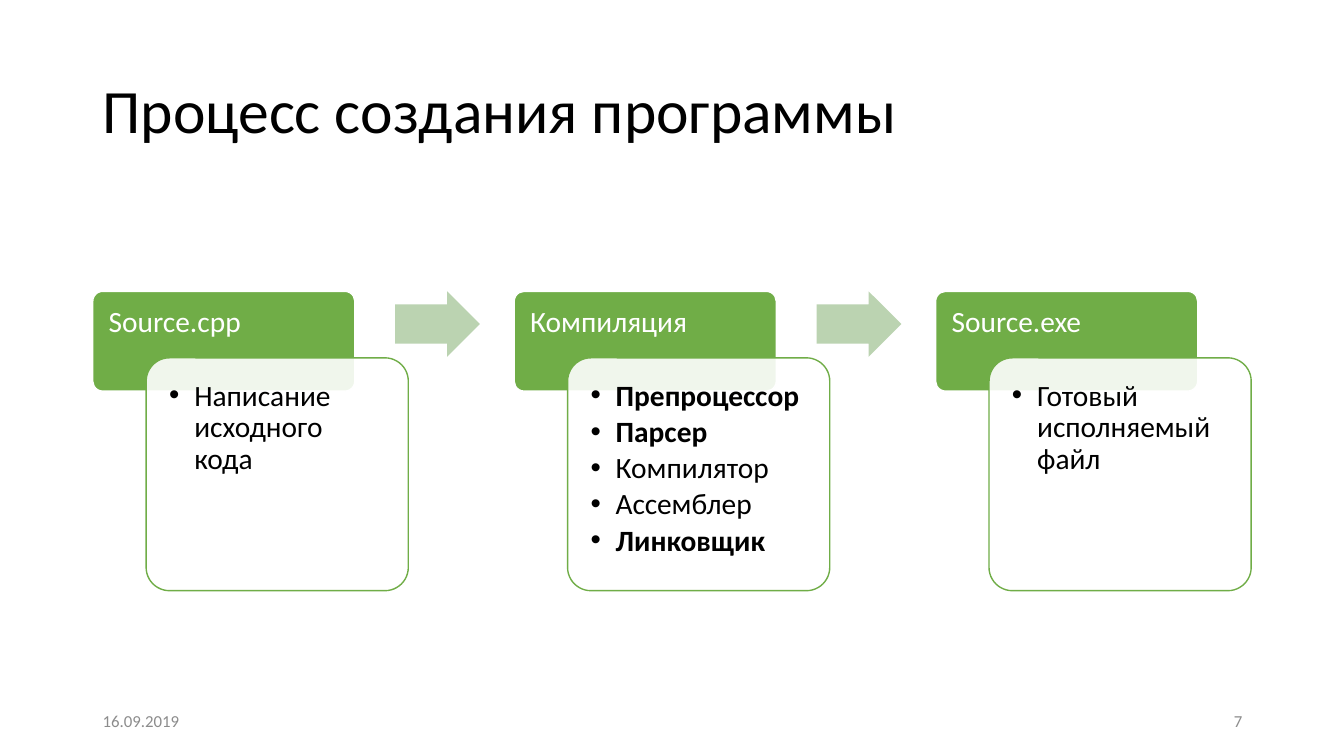
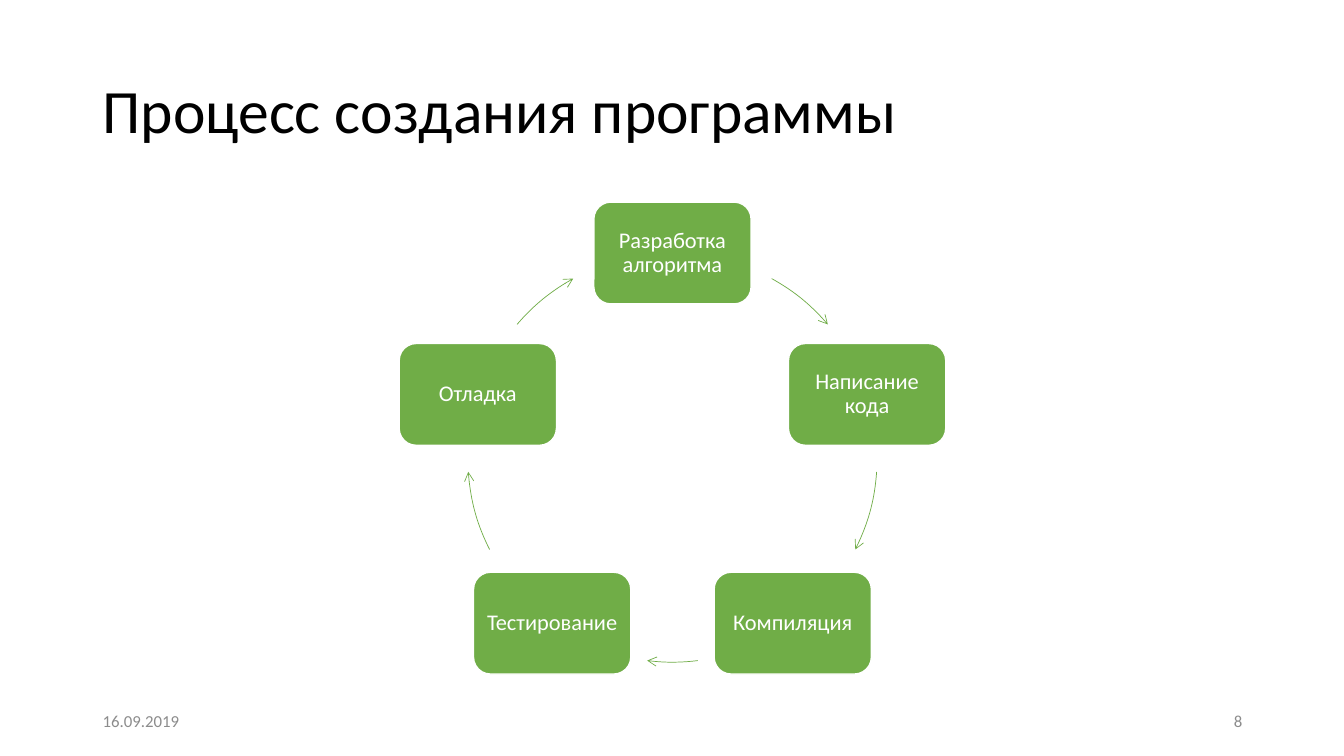
import math

from lxml import etree
from pptx import Presentation
from pptx.dml.color import RGBColor
from pptx.enum.shapes import MSO_SHAPE
from pptx.enum.text import MSO_ANCHOR, PP_ALIGN
from pptx.oxml.ns import qn
from pptx.util import Inches, Pt

ROUND_RECT, RIGHT_ARROW, ARC = MSO_SHAPE.ROUNDED_RECTANGLE, MSO_SHAPE.RIGHT_ARROW, MSO_SHAPE.ARC
TOP, MIDDLE = MSO_ANCHOR.TOP, MSO_ANCHOR.MIDDLE
LEFT, CENTER, RIGHT = PP_ALIGN.LEFT, PP_ALIGN.CENTER, PP_ALIGN.RIGHT

FONT = "Calibri"
COLORS = {"green": "70AD47", "arrow": "BBD3B1", "white": "FFFFFF",
          "text": "000000", "footer": "8C8C8C"}
TITLE = "Процесс создания программы"
DATE = "16.09.2019"


def rgb(name):
    return RGBColor.from_string(COLORS[name])


def add_shape(s, kind, box, fill=None, line=None, width=1):
    sp = s.shapes.add_shape(kind, *map(Inches, box))
    sp.shadow.inherit = False
    if fill:
        sp.fill.solid()
        sp.fill.fore_color.rgb = rgb(fill)
    else:
        sp.fill.background()
    if line:
        sp.line.color.rgb = rgb(line)
        sp.line.width = Pt(width)
    else:
        sp.line.fill.background()
    return sp


def set_frame(sp, anchor, insets):
    tf = sp.text_frame
    tf.word_wrap = True
    tf.vertical_anchor = anchor
    tf.margin_left, tf.margin_top, tf.margin_right, tf.margin_bottom = map(Inches, insets)
    return tf


def write(p, text, size, color, align=LEFT, bold=False, spacing=0.9):
    p.alignment = align
    p.line_spacing = spacing
    r = p.add_run()
    r.text = text
    r.font.name = FONT
    r.font.size = Pt(size)
    r.font.bold = bold
    r.font.color.rgb = rgb(color)


def add_bullet(p):
    pPr = p._p.get_or_add_pPr()
    pPr.set("marL", str(Inches(0.25)))
    pPr.set("indent", str(-Inches(0.25)))
    p.space_after = Pt(3.2)
    etree.SubElement(pPr, qn("a:buFont"), typeface="Arial")
    etree.SubElement(pPr, qn("a:buChar"), char="•")


def add_label(s, box, text, size, color, align=LEFT, spacing=0.9):
    sp = s.shapes.add_textbox(*map(Inches, box))
    tf = set_frame(sp, MIDDLE, (0.1, 0.05, 0.1, 0.05))
    write(tf.paragraphs[0], text, size, color, align, spacing=spacing)


def add_base_slide(prs, number):
    """Blank slide with the shared title, date and number."""
    s = prs.slides.add_slide(prs.slide_layouts[6])
    add_label(s, (0.92, 0.4, 11.5, 1.45), TITLE, 44, "text")
    add_label(s, (0.92, 6.95, 3, 0.4), DATE, 12, "footer", spacing=1)
    add_label(s, (9.42, 6.95, 3, 0.4), str(number), 12, "footer", RIGHT, 1)
    return s


def add_stage(s, x, y, heading, items):
    """Green heading with a translucent card of bullets over its corner."""
    head = add_shape(s, ROUND_RECT, (x, y, 2.6, 0.99), "green", "white")
    head.adjustments[0] = 0.1
    tf = set_frame(head, TOP, (0.13, 0.13, 0.13, 0))
    write(tf.paragraphs[0], heading, 21, "white")

    card = add_shape(s, ROUND_RECT, (x + 0.53, y + 0.66, 2.6, 2.31), "white", "green")
    card.adjustments[0] = 0.1
    color = card.fill._xPr.find(qn("a:solidFill"))[0]
    etree.SubElement(color, qn("a:alpha"), val="90000")
    tf = set_frame(card, TOP, (0.16,) * 4)
    for i, (text, bold) in enumerate(items):
        p = tf.add_paragraph() if i else tf.paragraphs[0]
        write(p, text, 21, "text", bold=bold)
        add_bullet(p)


def add_stages(s, box, stages):
    """Row of stages joined by block arrows."""
    x, y, w, _ = box
    pitch = (w - 3.13) / (len(stages) - 1)
    for i, (heading, items) in enumerate(stages):
        left = x + i * pitch
        if i:
            arrow = add_shape(s, RIGHT_ARROW, (left - pitch + 3, y, 0.84, 0.65), "arrow")
            arrow.adjustments[0] = 0.6
        add_stage(s, left, y, heading, items)


def add_cycle(s, box, steps):
    """Steps spaced evenly on a circle; each has the span of its outgoing arc."""
    x, y, size, _ = box
    radius = size / 2
    w, h = 1.56, 1.01
    for i, (text, start, end) in enumerate(steps):
        angle = math.radians(360 / len(steps) * i - 90)
        cx = x + radius * (1 + math.cos(angle))
        cy = y + radius * (1 + math.sin(angle))
        step = add_shape(s, ROUND_RECT, (cx - w / 2, cy - h / 2, w, h), "green", "white")
        tf = set_frame(step, MIDDLE, (0.07,) * 4)
        write(tf.paragraphs[0], text, 16, "white", CENTER)

        # Arc angles run clockwise from the right, in units of 1/0.6 degree
        arc = add_shape(s, ARC, box, line="green", width=0.5)
        for k, degrees in enumerate((start, end)):
            arc.adjustments[k] = (degrees - 90) % 360 * 0.6
        etree.SubElement(arc.line._get_or_add_ln(), qn("a:tailEnd"), type="arrow")


prs = Presentation()
prs.slide_width, prs.slide_height = Inches(13.33), Inches(7.5)

# Stages from source to executable
add_stages(add_base_slide(prs, 7), (0.92, 2.89, 11.49, 2.97), [
    ("Source.cpp", [("Написание исходного кода", False)]),
    ("Компиляция", [("Препроцессор", True), ("Парсер", True), ("Компилятор", False),
                    ("Ассемблер", False), ("Линковщик", True)]),
    ("Source.exe", [("Готовый исполняемый файл", False)]),
])

# Development cycle, arc spans in degrees clockwise from the top
add_cycle(add_base_slide(prs, 8), (4.64, 2.51, 4.06, 4.06), [
    ("Разработка алгоритма", 29, 49.4),
    ("Написание кода", 94, 116.7),
    ("Компиляция", 172.9, 187.1),
    ("Тестирование", 243.3, 266),
    ("Отладка", 310.6, 331),
])

prs.save("out.pptx")
